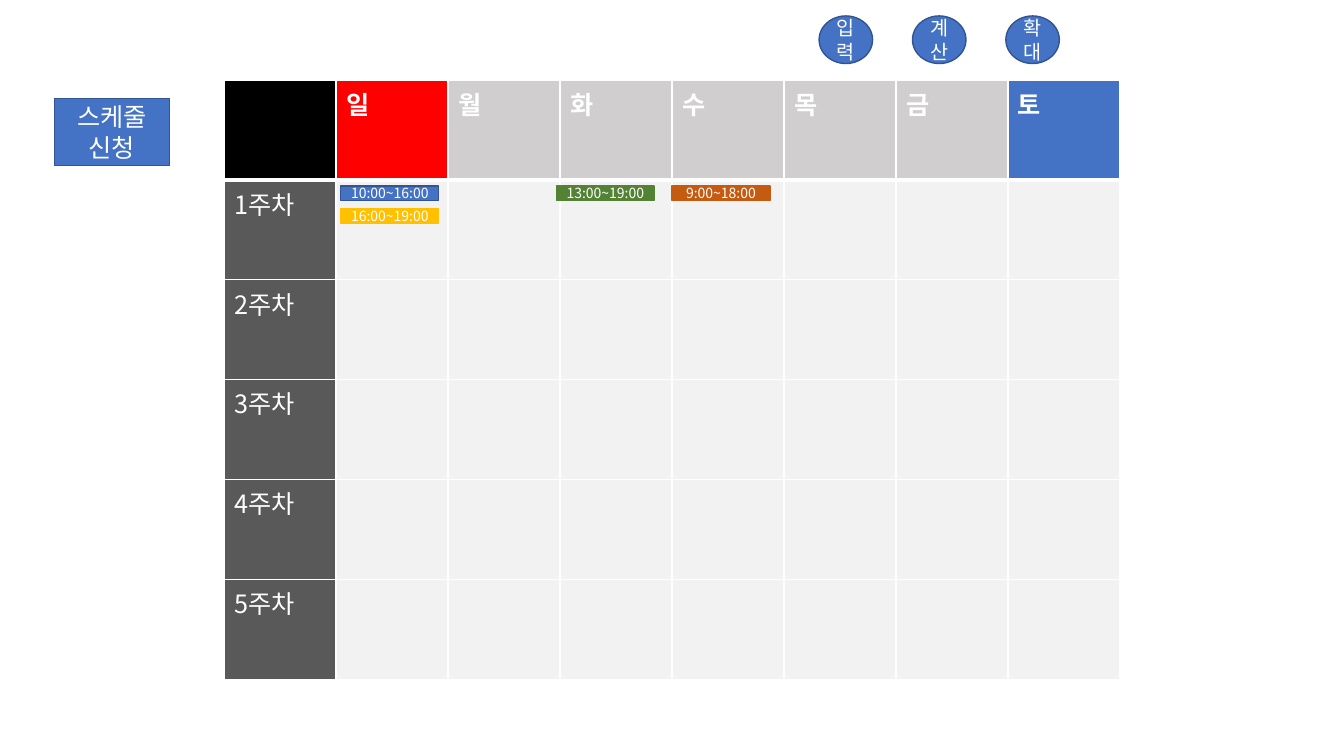
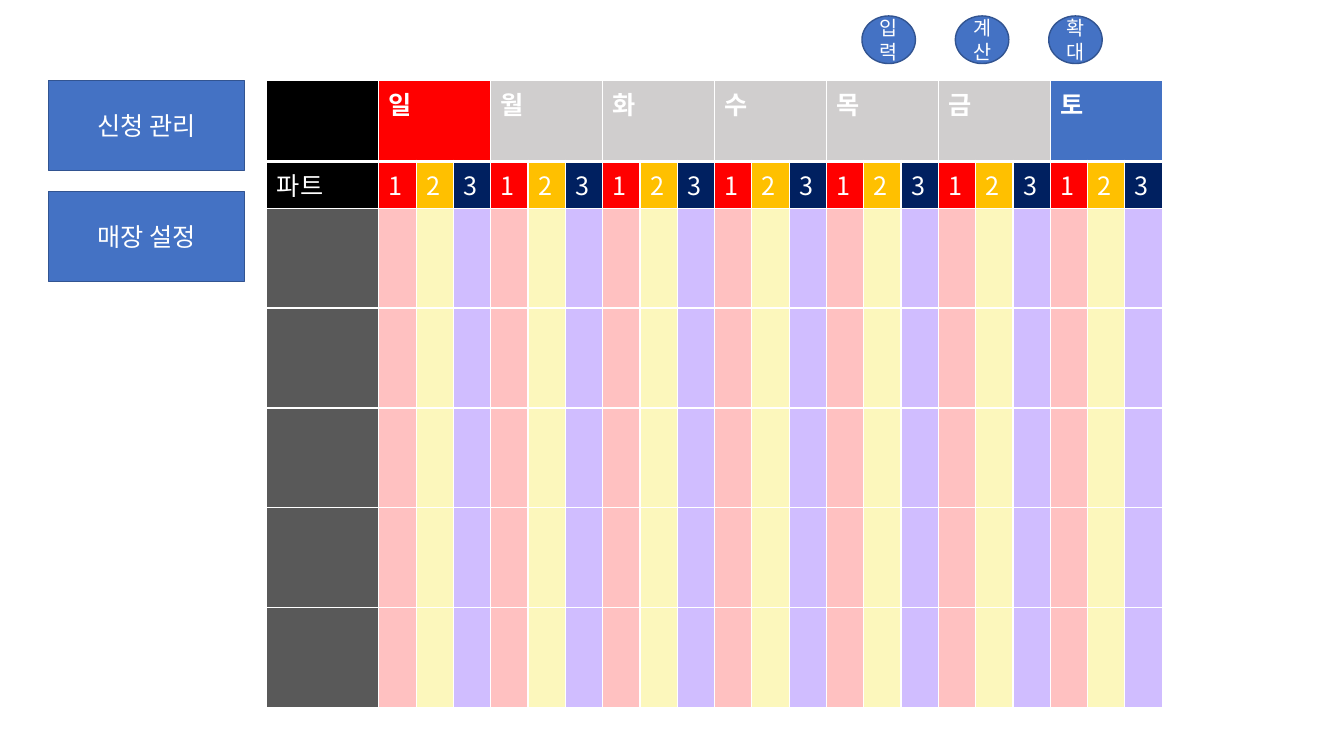
from itertools import cycle, islice

from lxml import etree
from pptx import Presentation
from pptx.dml.color import RGBColor
from pptx.enum import shapes, text
from pptx.oxml import ns
from pptx.util import Pt

COLORS = {
    "white": "FFFFFF", "black": "000000", "blue": "4472C4", "outline": "325491",
    "red": "FF0000", "silver": "D0CECE", "dark": "595959", "pale": "F2F2F2",
    "amber": "FFC000", "green": "548235", "orange": "C55A11", "navy": "002060",
    "pink": "FFC1C1", "cream": "FCF7BC", "lilac": "D0BDFF",
}
DAYS = ["일", "월", "화", "수", "목", "금", "토"]
DAY_COLORS = ["red"] + ["silver"] * 5 + ["blue"]
WEEKS = 5
PARTS = 3
TABLE_TOP = 57.1
DAY_WIDTH = 80
WEEK_HEIGHT = 71.4
PART_ROW_HEIGHT = 33.2


class Planner:
    FONT = "Noto Sans CJK KR"

    def __init__(self):
        self.deck = Presentation()
        self.deck.slide_width, self.deck.slide_height = Pt(960), Pt(540)
        self.page = None

    def new_page(self):
        self.page = self.deck.slides.add_slide(self.deck.slide_layouts[6])

    def color(self, name):
        return RGBColor.from_string(COLORS[name])

    def set_words(self, frame, words, size, bold=False):
        frame.text = words
        para = frame.paragraphs[0]
        for span in para.runs:
            span.font.name = self.FONT
            span.font.size = Pt(size)
            span.font.bold = bold
            span.font.color.rgb = self.color("white")
            east = etree.SubElement(span._r.get_or_add_rPr(), ns.qn("a:ea"))
            east.set("typeface", self.FONT)
        return para

    def box(self, words, left, top, width, height, size=18, fill="blue",
            line="outline", kind=shapes.MSO_SHAPE.RECTANGLE):
        box = self.page.shapes.add_shape(kind, Pt(left), Pt(top), Pt(width), Pt(height))
        box.shadow.inherit = False
        box.fill.solid()
        box.fill.fore_color.rgb = self.color(fill)
        box.line.color.rgb = self.color(line)
        box.line.width = Pt(1)
        box.text_frame.word_wrap = True
        box.text_frame.vertical_anchor = text.MSO_ANCHOR.MIDDLE
        para = self.set_words(box.text_frame, words, size)
        para.alignment = text.PP_ALIGN.CENTER

    def round_buttons(self, table_left):
        for index, words in enumerate(["입력", "계산", "확대"]):
            self.box(words, table_left + 425.1 + index * 66.7, 11.4, 38.2, 34,
                     size=14, kind=shapes.MSO_SHAPE.OVAL)

    def time_chip(self, words, left, top, fill, line):
        self.box(words, left, top, 70, 10.1, size=10, fill=fill, line=line)

    def borders(self, cell, top, bottom):
        """Draw white cell edges; top and bottom are widths in points."""
        props = cell._tc.get_or_add_tcPr()
        for side, width in (("L", 1), ("R", 1), ("T", top), ("B", bottom)):
            edge = etree.SubElement(props, ns.qn(f"a:ln{side}"), w=str(Pt(width)))
            fill = etree.SubElement(edge, ns.qn("a:solidFill"))
            etree.SubElement(fill, ns.qn("a:srgbClr"), val=COLORS["white"])

    def calendar(self, left, heights, rows, parts=1):
        """Draw a day header over rows of (words, fill) cells, each day split in parts."""
        widths = [DAY_WIDTH] + [DAY_WIDTH / parts] * (len(DAYS) * parts)
        header = [("", "black")]
        for day, fill in zip(DAYS, DAY_COLORS):
            header += [(day, fill)] + [("", fill)] * (parts - 1)
        rows = [header] + rows
        table = self.page.shapes.add_table(
            len(rows), len(widths), Pt(left), Pt(TABLE_TOP),
            Pt(sum(widths)), Pt(sum(heights))).table
        for column, width in zip(table.columns, widths):
            column.width = Pt(width)
        for row, height in zip(table.rows, heights):
            row.height = Pt(height)
        for r, row in enumerate(rows):
            for c, (words, fill) in enumerate(row):
                cell = table.cell(r, c)
                self.borders(cell, top=3 if r == 1 else 1, bottom=3 if r == 0 else 1)
                cell.fill.solid()
                cell.fill.fore_color.rgb = self.color(fill)
                if words:
                    self.set_words(cell.text_frame, words, 18, bold=r == 0)
        if parts > 1:
            for c in range(1, len(widths), parts):
                table.cell(0, c).merge(table.cell(0, c + parts - 1))


def weekly_schedule(planner):
    left = 160
    planner.new_page()
    rows = [[(f"{week}주차", "dark")] + [("", "pale")] * len(DAYS)
            for week in range(1, WEEKS + 1)]
    planner.calendar(left, [WEEK_HEIGHT] * (WEEKS + 1), rows)
    planner.round_buttons(left)
    for words, chip_left, top, fill, line in [
        ("10:00~16:00", 243.4, 133, "blue", "outline"),
        ("16:00~19:00", 243.4, 149.2, "amber", "amber"),
        ("13:00~19:00", 397.3, 133, "green", "green"),
        ("9:00~18:00", 480, 133, "orange", "orange"),
    ]:
        planner.time_chip(words, chip_left, top, fill, line)
    planner.box("스케줄 신청", 38.9, 70.2, 82.2, 48.2)


def part_schedule(planner):
    left = 190.6
    planner.new_page()
    planner.round_buttons(left)
    for index, words in enumerate(["신청 관리", "매장 설정"]):
        planner.box(words, 34.6, 57.4 + index * 79.4, 139.9, 64.3)
    columns = len(DAYS) * PARTS
    part_cells = [("1", "red"), ("2", "amber"), ("3", "navy")]
    body_cells = [("", fill) for fill in ("pink", "cream", "lilac")]
    rows = [[("파트", "black"), *islice(cycle(part_cells), columns)]]
    rows += [[("", "dark"), *islice(cycle(body_cells), columns)] for _ in range(WEEKS)]
    heights = [58.3, PART_ROW_HEIGHT] + [WEEK_HEIGHT] * WEEKS
    planner.calendar(left, heights, rows, PARTS)


def main():
    planner = Planner()
    weekly_schedule(planner)
    part_schedule(planner)
    planner.deck.save("out.pptx")


if __name__ == "__main__":
    main()
